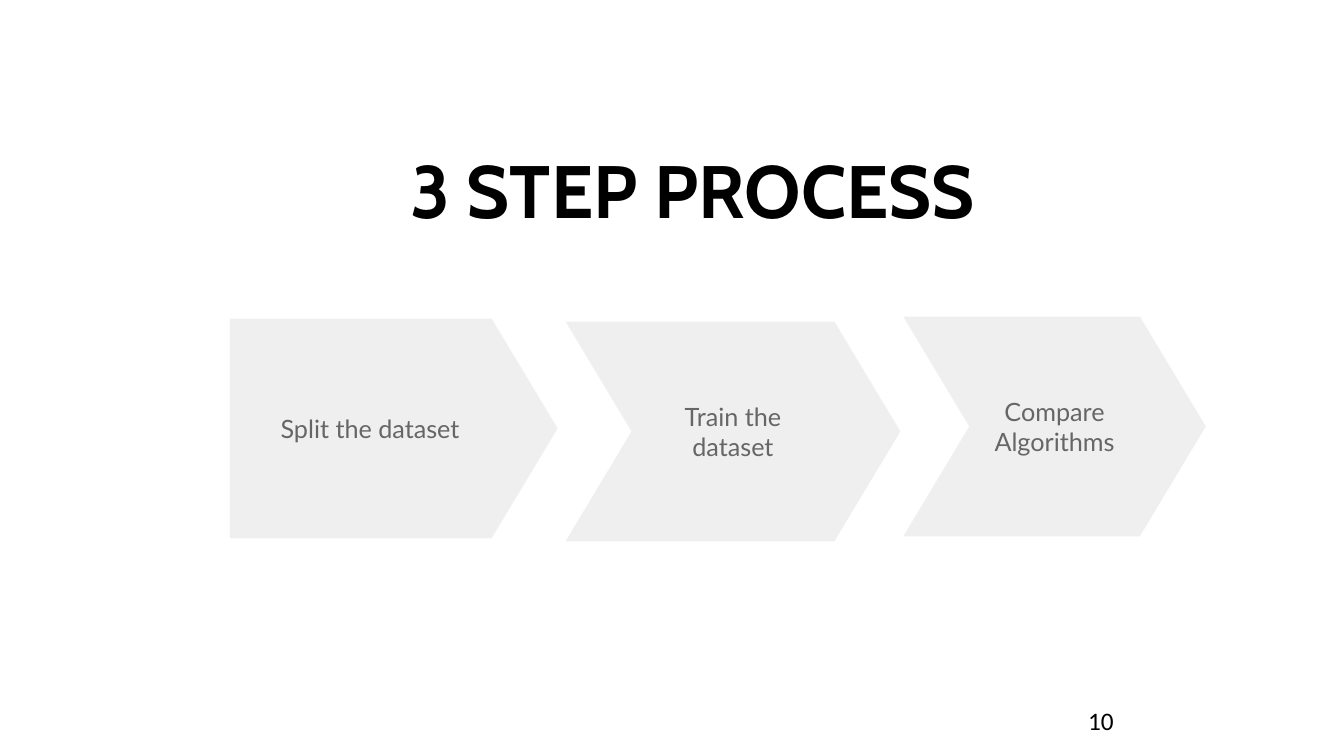
from pptx import Presentation
from pptx.dml.color import RGBColor
from pptx.enum.shapes import MSO_SHAPE
from pptx.enum.text import MSO_ANCHOR, MSO_AUTO_SIZE, PP_ALIGN
from pptx.util import Inches, Pt

# Content: text, outline, left, top, width, right inset (inches)
TITLE = "3 STEP PROCESS"
PAGE_NUMBER = "10"
STEPS = [
    ("Split the dataset", MSO_SHAPE.PENTAGON, 2.28, 3.16, 3.25, 0.27),
    ("Train the dataset", MSO_SHAPE.CHEVRON, 5.61, 3.19, 3.32, 0.13),
    ("Compare Algorithms", MSO_SHAPE.CHEVRON, 8.96, 3.14, 3.0, 0.13),
]

# Style
COLORS = {"text": "000000", "step": "EFEFEF", "step_text": "666666"}
STEP_HEIGHT = 2.18
POINT_SHARE = 0.3
INSET = 0.13


def place(shape, left, top, width, height):
    shape.left, shape.top = Inches(left), Inches(top)
    shape.width, shape.height = Inches(width), Inches(height)


def write(shape, text, font_name, size, color, anchor=MSO_ANCHOR.MIDDLE,
          bold=False, right_inset=INSET):
    frame = shape.text_frame
    frame.text = text
    frame.word_wrap = True
    frame.auto_size = MSO_AUTO_SIZE.NONE
    frame.vertical_anchor = anchor
    frame.margin_left = frame.margin_top = frame.margin_bottom = Inches(INSET)
    frame.margin_right = Inches(right_inset)
    paragraph = frame.paragraphs[0]
    paragraph.alignment = PP_ALIGN.CENTER
    font = paragraph.runs[0].font
    font.name, font.size, font.bold = font_name, Pt(size), bold
    font.color.rgb = RGBColor.from_string(COLORS[color])


def main():
    presentation = Presentation()
    presentation.slide_width = Inches(13.33)
    presentation.slide_height = Inches(7.5)
    slide = presentation.slides.add_slide(presentation.slide_layouts[5])

    # Title
    title = slide.shapes.title
    place(title, 2.85, 1.21, 8.04, 1.25)
    write(title, TITLE, "Cabin", 53, "text", MSO_ANCHOR.BOTTOM, bold=True)
    title.text_frame.paragraphs[0].line_spacing = 0.9

    # Page number
    number = slide.shapes.add_textbox(
        Inches(9.42), Inches(6.95), Inches(3), Inches(0.4))
    write(number, PAGE_NUMBER, "Calibri", 18, "text")

    # Process arrows
    for text, outline, left, top, width, right_inset in STEPS:
        step = slide.shapes.add_shape(
            outline, Inches(left), Inches(top), Inches(width), Inches(STEP_HEIGHT))
        step.adjustments[0] = POINT_SHARE
        step.shadow.inherit = False
        step.fill.solid()
        step.fill.fore_color.rgb = RGBColor.from_string(COLORS["step"])
        step.line.fill.background()
        write(step, text, "Lato", 18, "step_text", right_inset=right_inset)

    presentation.save("out.pptx")


if __name__ == "__main__":
    main()
